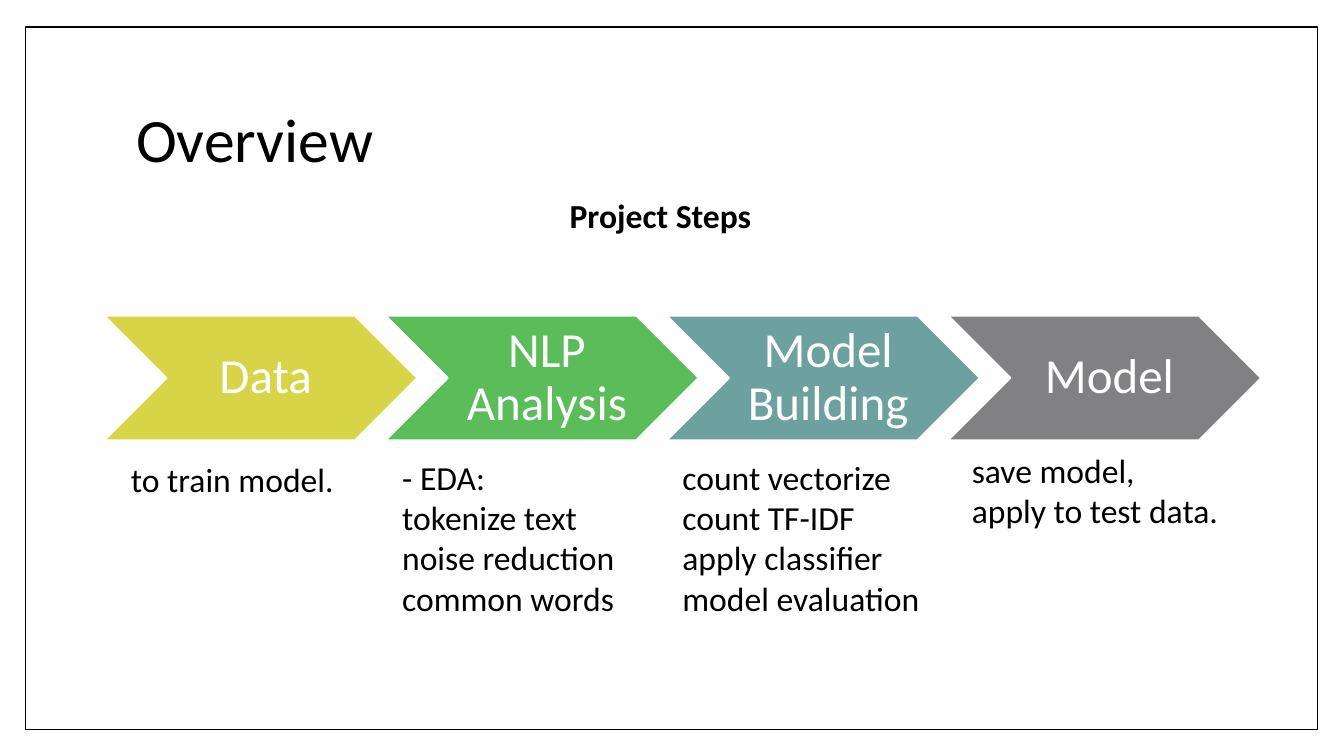
from dataclasses import dataclass

from pptx import Presentation
from pptx.dml.color import RGBColor
from pptx.enum.shapes import MSO_SHAPE
from pptx.enum.text import MSO_ANCHOR, PP_ALIGN
from pptx.slide import Slide
from pptx.text.text import TextFrame
from pptx.util import Inches, Pt

CHEVRON, RECTANGLE = MSO_SHAPE.CHEVRON, MSO_SHAPE.RECTANGLE
MIDDLE = MSO_ANCHOR.MIDDLE
LEFT, CENTER = PP_ALIGN.LEFT, PP_ALIGN.CENTER
TITLE_ONLY = 5


@dataclass(frozen=True)
class Theme:
    font: str = "Calibri"
    ink: str = "000000"
    paper: str = "FFFFFF"
    title_size: int = 44
    step_size: int = 35
    body_size: int = 24


@dataclass(frozen=True)
class Box:
    left: float
    top: float
    width: float
    height: float

    def lengths(self) -> tuple[int, int, int, int]:
        return (Inches(self.left), Inches(self.top),
                Inches(self.width), Inches(self.height))


@dataclass(frozen=True)
class Step:
    label: str
    color: str
    details: tuple[str, ...]
    details_box: Box


THEME = Theme()
FRAME = Box(0.25, 0.27, 12.82, 6.97)
TITLE = Box(1.25, 0.67, 10.8, 1.48)
SUBTITLE = Box(4.96, 1.88, 3.18, 0.5)
FIRST_CHEVRON = Box(1.03, 3.13, 3.11, 1.24)
CHEVRON_PITCH = 2.79

STEPS = (
    Step("Data", "D7D447", ("to train model.",), Box(1.2, 4.5, 2.35, 0.5)),
    Step("NLP Analysis", "5ABD59",
         ("- EDA:", "tokenize text", "noise reduction", "common words"),
         Box(3.89, 4.48, 2.35, 1.72)),
    Step("Model Building", "6CA1A0",
         ("count vectorize", "count TF-IDF", "apply classifier", "model evaluation"),
         Box(6.67, 4.48, 2.96, 1.72)),
    Step("Model", "818183", ("save model,", "apply to test data."),
         Box(9.54, 4.41, 2.96, 0.91)),
)


def write_lines(text_frame: TextFrame, lines: tuple[str, ...], size: int,
                color: str, align: PP_ALIGN = LEFT, bold: bool = False,
                spacing: float = 1.0) -> None:
    text_frame.word_wrap = True
    for index, line in enumerate(lines):
        paragraph = text_frame.add_paragraph() if index else text_frame.paragraphs[0]
        paragraph.alignment = align
        paragraph.line_spacing = spacing
        run = paragraph.add_run()
        run.text = line
        run.font.name = THEME.font
        run.font.size = Pt(size)
        run.font.bold = bold
        run.font.color.rgb = RGBColor.from_string(color)


def add_panel(slide: Slide, kind: MSO_SHAPE, box: Box, fill: str,
              line: str, line_width: float) -> TextFrame:
    panel = slide.shapes.add_shape(kind, *box.lengths())
    panel.shadow.inherit = False
    panel.fill.solid()
    panel.fill.fore_color.rgb = RGBColor.from_string(fill)
    panel.line.color.rgb = RGBColor.from_string(line)
    panel.line.width = Pt(line_width)
    return panel.text_frame


def add_body(slide: Slide, box: Box, lines: tuple[str, ...],
             align: PP_ALIGN = LEFT, bold: bool = False) -> None:
    body = slide.shapes.add_textbox(*box.lengths())
    write_lines(body.text_frame, lines, THEME.body_size, THEME.ink, align, bold)


def add_title(slide: Slide, text: str) -> None:
    title = slide.shapes.title
    title.left, title.top, title.width, title.height = TITLE.lengths()
    title.text_frame.vertical_anchor = MIDDLE
    write_lines(title.text_frame, (text,), THEME.title_size, THEME.ink, spacing=0.9)
    # Bring the title in front of the frame
    slide.shapes.element.append(title.element)


def add_step(slide: Slide, index: int, step: Step) -> None:
    box = Box(FIRST_CHEVRON.left + index * CHEVRON_PITCH, FIRST_CHEVRON.top,
              FIRST_CHEVRON.width, FIRST_CHEVRON.height)
    label = add_panel(slide, CHEVRON, box, step.color, THEME.paper, 1.5)
    label.vertical_anchor = MIDDLE
    label.margin_left = Inches(0.15)
    label.margin_top = label.margin_right = label.margin_bottom = Inches(0.05)
    write_lines(label, (step.label,), THEME.step_size, THEME.paper, CENTER, spacing=0.9)
    add_body(slide, step.details_box, step.details)


def main() -> None:
    deck = Presentation()
    deck.slide_width, deck.slide_height = Inches(13.33), Inches(7.5)
    slide = deck.slides.add_slide(deck.slide_layouts[TITLE_ONLY])

    # Frame and headings
    add_panel(slide, RECTANGLE, FRAME, THEME.paper, THEME.ink, 1)
    add_title(slide, "Overview")
    add_body(slide, SUBTITLE, ("Project Steps",), CENTER, bold=True)

    # Process chevrons with their details
    for index, step in enumerate(STEPS):
        add_step(slide, index, step)

    deck.save("out.pptx")


if __name__ == "__main__":
    main()
